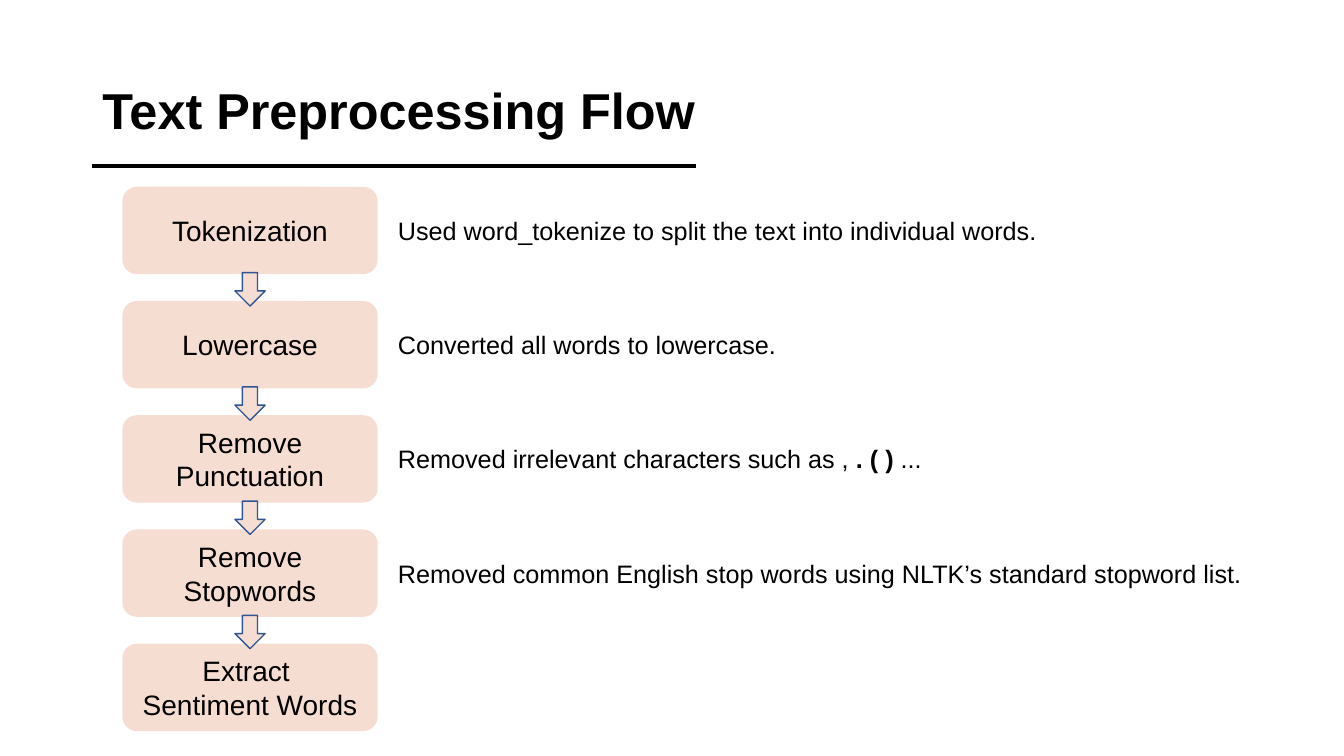
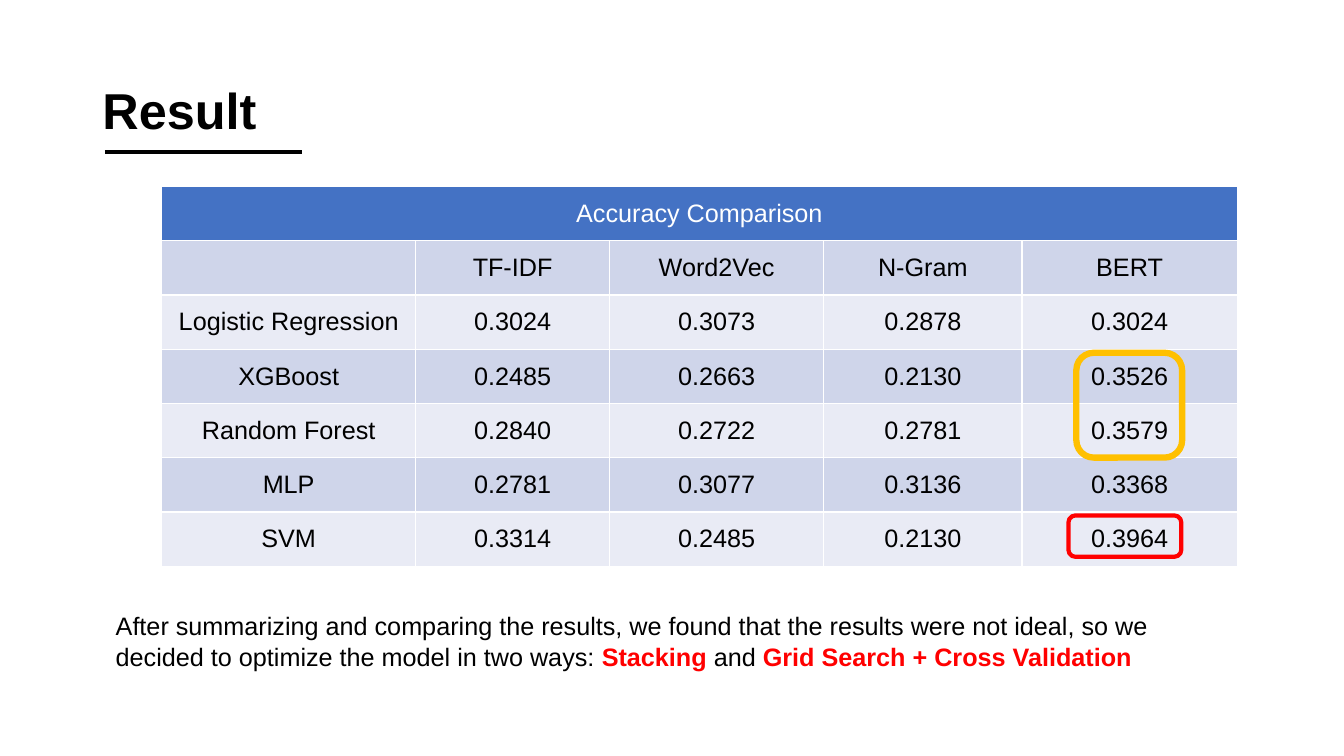
"""Builds two slides: a text preprocessing flow and a table of results."""
from dataclasses import dataclass

from lxml.etree import SubElement as Sub
from pptx import Presentation
from pptx.dml.color import RGBColor as RGB
from pptx.enum.shapes import MSO_CONNECTOR as Conn, MSO_SHAPE as Kind
from pptx.enum.text import MSO_ANCHOR as Anchor, MSO_AUTO_SIZE as Auto, PP_ALIGN as Align
from pptx.oxml.ns import qn
from pptx.util import Pt


@dataclass(frozen=True)
class Theme:
    font: str = "Arial"
    ink: str = "000000"
    paper: str = "FFFFFF"
    peach: str = "F6DDD1"
    navy: str = "2F5597"
    blue: str = "4472C4"
    dark: str = "CFD5EA"
    light: str = "E9EBF5"
    red: str = "FF0000"
    gold: str = "FFC000"
    head: int = 36
    step: int = 20
    body: int = 18


class Deck:
    def __init__(self, theme):
        self.theme = theme
        self.file = Presentation()
        self.file.slide_width, self.file.slide_height = Pt(960), Pt(540)
        self.slide = None

    def run(self, para, text, size, color=None, bold=False):
        run = para.add_run()
        run.text = text
        font = run.font
        font.name, font.size, font.bold = self.theme.font, Pt(size), bold
        font.color.rgb = RGB.from_string(color or self.theme.ink)

    def page(self, title, left, right, y):
        self.slide = self.file.slides.add_slide(self.file.slide_layouts[5])
        head = self.slide.shapes.title
        head.left, head.top, head.width, head.height = Pt(66), Pt(28.8), Pt(828), Pt(104.4)
        frame = head.text_frame
        frame.auto_size, frame.vertical_anchor = Auto.NONE, Anchor.MIDDLE
        para = frame.paragraphs[0]
        para.alignment, para.line_spacing = Align.LEFT, 0.9
        self.run(para, title, self.theme.head, bold=True)
        self.rule(left, right, y)

    def rule(self, left, right, y):
        line = self.slide.shapes.add_connector(Conn.STRAIGHT, Pt(left), Pt(y), Pt(right), Pt(y))
        line.line.color.rgb = RGB.from_string(self.theme.ink)
        line.line.width = Pt(3)
        Sub(line._element.spPr, qn("a:effectLst"))

    def shape(self, kind, x, y, w, h, fill=None, line=None, width=1):
        item = self.slide.shapes.add_shape(kind, Pt(x), Pt(y), Pt(w), Pt(h))
        item.shadow.inherit = False
        if fill:
            item.fill.solid()
            item.fill.fore_color.rgb = RGB.from_string(fill)
        else:
            item.fill.background()
        if line:
            item.line.color.rgb = RGB.from_string(line)
            item.line.width = Pt(width)
        else:
            item.line.fill.background()
        return item

    def step(self, lines, x, y, w, h):
        box = self.shape(Kind.ROUNDED_RECTANGLE, x, y, w, h, self.theme.peach)
        frame = box.text_frame
        frame.word_wrap, frame.vertical_anchor = True, Anchor.MIDDLE
        for i, line in enumerate(lines):
            para = frame.add_paragraph() if i else frame.paragraphs[0]
            para.alignment = Align.CENTER
            self.run(para, line, self.theme.step)

    def text(self, runs, x, y, w, h):
        frame = self.slide.shapes.add_textbox(Pt(x), Pt(y), Pt(w), Pt(h)).text_frame
        frame.word_wrap, frame.auto_size = True, Auto.SHAPE_TO_FIT_TEXT
        for text, *style in runs:
            self.run(frame.paragraphs[0], text, self.theme.body, *style)

    def cell(self, cell, text, fill, color):
        props = cell._tc.get_or_add_tcPr()
        for side in "LRTB":
            edge = Sub(props, qn(f"a:ln{side}"), w=str(Pt(1)))
            Sub(Sub(edge, qn("a:solidFill")), qn("a:srgbClr"), val=self.theme.paper)
        cell.fill.solid()
        cell.fill.fore_color.rgb = RGB.from_string(fill)
        cell.vertical_anchor = Anchor.MIDDLE
        para = cell.text_frame.paragraphs[0]
        para.alignment = Align.CENTER
        if text:
            self.run(para, text, self.theme.body, color)

    def table(self, title, rows, x, y, cols, high):
        theme, count = self.theme, len(rows) + 1
        grid = self.slide.shapes.add_table(
            count, len(cols), Pt(x), Pt(y), Pt(sum(cols)), Pt(high * count)).table
        for col, wide in zip(grid.columns, cols):
            col.width = Pt(wide)
        for row in grid.rows:
            row.height = Pt(high)
        top = grid.cell(0, 0)
        top.merge(grid.cell(0, len(cols) - 1))
        self.cell(top, title, theme.blue, theme.paper)
        for r, row in enumerate(rows, 1):
            fill = theme.dark if r % 2 else theme.light
            for c, text in enumerate(row):
                self.cell(grid.cell(r, c), text, fill, theme.ink)


def flow(deck):
    deck.page("Text Preprocessing Flow", 66, 497.5, 118.8)
    x, top, w, h, pitch = 87.4, 133.4, 182.4, 62.4, 81.6
    steps = [
        (["Tokenization"],
         [("Used word_tokenize to split the text into individual words.",)], 523.4),
        (["Lowercase"], [("Converted all words to lowercase.",)], 480.2),
        (["Remove Punctuation"],
         [("Removed irrelevant characters such as , ",), (". ( )", None, True), (" ...",)], 480.2),
        (["Remove Stopwords"],
         [("Removed common English stop words using NLTK’s standard stopword list.",)], 638),
        (["Extract ", "Sentiment Words"], [], 0),
    ]
    for i, (name, note, wide) in enumerate(steps):
        y = top + i * pitch
        deck.step(name, x, y, w, h)
        if note:
            deck.text(note, 277.2, y + h / 2 - 14.4, wide, 28.8)
    for i in range(len(steps) - 1):
        deck.shape(Kind.DOWN_ARROW, x + w / 2 - 10.8, top + i * pitch + h - 1, 21.6, 23.8,
                   deck.theme.peach, deck.theme.navy)


def result(deck):
    theme = deck.theme
    deck.page("Result", 74.9, 216, 108.8)
    rows = [
        ("", "TF-IDF", "Word2Vec", "N-Gram", "BERT"),
        ("Logistic Regression", "0.3024", "0.3073", "0.2878", "0.3024"),
        ("XGBoost", "0.2485", "0.2663", "0.2130", "0.3526"),
        ("Random Forest", "0.2840", "0.2722", "0.2781", "0.3579"),
        ("MLP", "0.2781", "0.3077", "0.3136", "0.3368"),
        ("SVM", "0.3314", "0.2485", "0.2130", "0.3964"),
    ]
    deck.table("Accuracy Comparison", rows, 115.4, 133.2, (181.6, 138.4, 153, 141.6, 153.8), 38.75)
    deck.shape(Kind.ROUNDED_RECTANGLE, 763.2, 368.2, 80.6, 29.5, line=theme.red, width=3)
    deck.shape(Kind.ROUNDED_RECTANGLE, 768.8, 252, 75.6, 74.9, line=theme.gold, width=4.5)
    deck.text([
        ("After summarizing and comparing the results, we found that the results were not ideal, "
         "so we decided to optimize the model in two ways: ",),
        ("Stacking", theme.red, True),
        (" and ",),
        ("Grid Search + Cross Validation", theme.red, True),
    ], 75.6, 432.7, 808.6, 51.1)


def main():
    deck = Deck(Theme())
    flow(deck)
    result(deck)
    deck.file.save("out.pptx")


if __name__ == "__main__":
    main()
